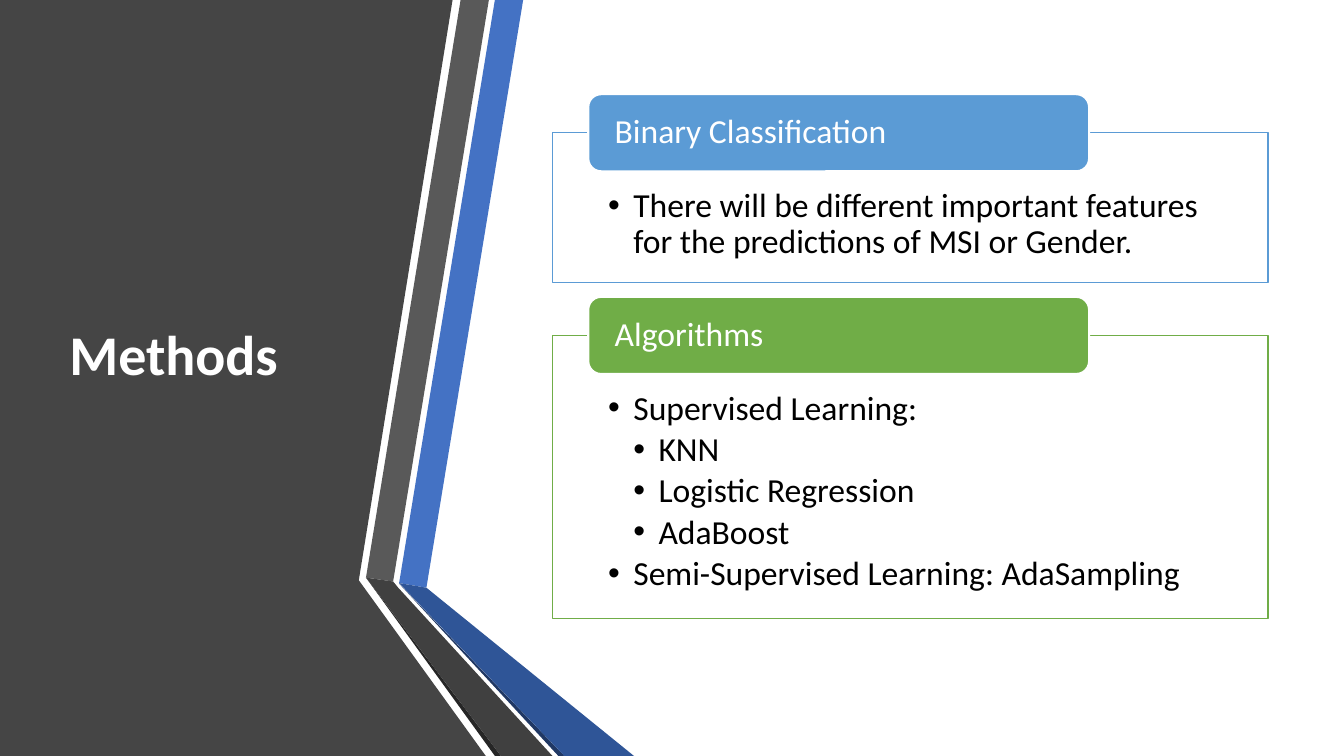
import pptx
import pptx.util
import pptx.dml.color
import pptx.enum.shapes
import pptx.enum.text
from lxml import etree

Pt = pptx.util.Pt
RGBColor = pptx.dml.color.RGBColor
SHAPE = pptx.enum.shapes.MSO_SHAPE
ANCHOR = pptx.enum.text.MSO_ANCHOR
ALIGN = pptx.enum.text.PP_ALIGN

WHITE = RGBColor(0xFF, 0xFF, 0xFF)
BLACK = RGBColor(0, 0, 0)
PANEL_GRAY = RGBColor(0x45, 0x45, 0x45)
BAND_GRAY = RGBColor(0x59, 0x59, 0x59)
FOLD_GRAY = RGBColor(0x40, 0x40, 0x40)
EDGE_GRAY = RGBColor(0x26, 0x26, 0x26)
BAND_BLUE = RGBColor(0x44, 0x72, 0xC4)
FOLD_BLUE = RGBColor(0x2F, 0x55, 0x97)
EDGE_BLUE = RGBColor(0x20, 0x38, 0x64)
SKY = RGBColor(0x5B, 0x9B, 0xD5)
GREEN = RGBColor(0x70, 0xAD, 0x47)

# Content
TITLE = "Methods"
# heading, colour, box height, [(level, text)]
SECTIONS = [
    ("Binary Classification", SKY, 107.1, [
        (1, "There will be different important features for the predictions of MSI or Gender."),
    ]),
    ("Algorithms", GREEN, 202.3, [
        (1, "Supervised Learning:"),
        (2, "KNN"),
        (2, "Logistic Regression"),
        (2, "AdaBoost"),
        (1, "Semi-Supervised Learning: AdaSampling"),
    ]),
]

# Folded ribbon on the left: colour and corner points, back to front
RIBBON = [
    (PANEL_GRAY, [(0, 0), (323.3, 0), (256.3, 414.5), (347, 540), (0, 540)]),
    (BAND_BLUE, [(285.1, 416.5), (304.6, 419.8), (373.7, 0), (353.5, 0)]),
    (BAND_GRAY, [(349.2, 0), (329, 0), (261.4, 412.6), (280.8, 415.4)]),
    (EDGE_GRAY, [(261.4, 412.6), (353.5, 540), (357.8, 540)]),
    (EDGE_BLUE, [(285.1, 416.9), (398.9, 540), (403.2, 540)]),
    (FOLD_BLUE, [(285.1, 416.5), (403.2, 540), (452.9, 540), (304.6, 419.8)]),
    (FOLD_GRAY, [(261.4, 412.6), (357.8, 540), (394.6, 540), (284.4, 419.8), (280.8, 415.4)]),
]

# Layout
BOX_LEFT, BOX_WIDTH = 394.7, 511.2
LABEL_LEFT, LABEL_WIDTH, LABEL_HEIGHT = 420.2, 357.8, 55.1
FIRST_LABEL_TOP, SECTION_GAP = 67.3, 10.1
INDENT = 18


def style_paragraph(p, size, color, bold=False):
    p.alignment = ALIGN.LEFT
    p.line_spacing = 0.9
    for r in p.runs:
        r.font.name = "Calibri"
        r.font.size = Pt(size)
        r.font.color.rgb = color
        r.font.bold = bold


def setup_frame(tf, anchor, left, top, right, bottom):
    tf.word_wrap = True
    tf.vertical_anchor = anchor
    tf.margin_left, tf.margin_top = Pt(left), Pt(top)
    tf.margin_right, tf.margin_bottom = Pt(right), Pt(bottom)


def add_bullet(p, level):
    pPr = p._p.get_or_add_pPr()
    pPr.set("marL", str(Pt(INDENT * level)))
    pPr.set("indent", str(-Pt(INDENT)))
    ns = "{http://schemas.openxmlformats.org/drawingml/2006/main}"
    etree.SubElement(pPr, ns + "buFont").set("typeface", "Arial")
    etree.SubElement(pPr, ns + "buChar").set("char", "•")


def add_panel(s, kind, left, top, width, height, fill, line, line_width):
    sp = s.shapes.add_shape(kind, Pt(left), Pt(top), Pt(width), Pt(height))
    sp.shadow.inherit = False
    sp.fill.solid()
    sp.fill.fore_color.rgb = fill
    sp.line.color.rgb = line
    sp.line.width = Pt(line_width)
    return sp


def add_section(s, top, heading, color, height, items):
    # Outlined box with bullets
    box = add_panel(s, SHAPE.RECTANGLE, BOX_LEFT, top + LABEL_HEIGHT / 2,
                    BOX_WIDTH, height, WHITE, color, 1)
    tf = box.text_frame
    setup_frame(tf, ANCHOR.TOP, 39.7, 39.7, 39.7, 13.7)
    tf.text = "\n".join(text for _, text in items)
    for p, (level, _) in zip(tf.paragraphs, items):
        style_paragraph(p, 24, BLACK)
        p.space_after = Pt(3.6)
        add_bullet(p, level)

    # Heading label straddling the top edge
    label = add_panel(s, SHAPE.ROUNDED_RECTANGLE, LABEL_LEFT, top,
                      LABEL_WIDTH, LABEL_HEIGHT, color, WHITE, 1.5)
    tf = label.text_frame
    setup_frame(tf, ANCHOR.MIDDLE, 16.2, 0, 16.2, 0)
    tf.text = heading
    style_paragraph(tf.paragraphs[0], 24, WHITE)


def main():
    prs = pptx.Presentation()
    prs.slide_width, prs.slide_height = Pt(960), Pt(540)
    s = prs.slides.add_slide(prs.slide_layouts[6])

    # Ribbon
    for color, corners in RIBBON:
        points = [(Pt(x), Pt(y)) for x, y in corners]
        builder = s.shapes.build_freeform(*points[0])
        builder.add_line_segments(points[1:], close=True)
        sp = builder.convert_to_shape()
        sp.shadow.inherit = False
        sp.fill.solid()
        sp.fill.fore_color.rgb = color
        sp.line.fill.background()

    # Title
    tf = s.shapes.add_textbox(Pt(42.5), Pt(54), Pt(218.9), Pt(401.8)).text_frame
    setup_frame(tf, ANCHOR.MIDDLE, 7.2, 3.6, 7.2, 3.6)
    tf.text = TITLE
    style_paragraph(tf.paragraphs[0], 40, WHITE, bold=True)

    # Sections, stacked downwards
    top = FIRST_LABEL_TOP
    for heading, color, height, items in SECTIONS:
        add_section(s, top, heading, color, height, items)
        top += LABEL_HEIGHT / 2 + height + SECTION_GAP

    prs.save("out.pptx")


if __name__ == "__main__":
    main()
